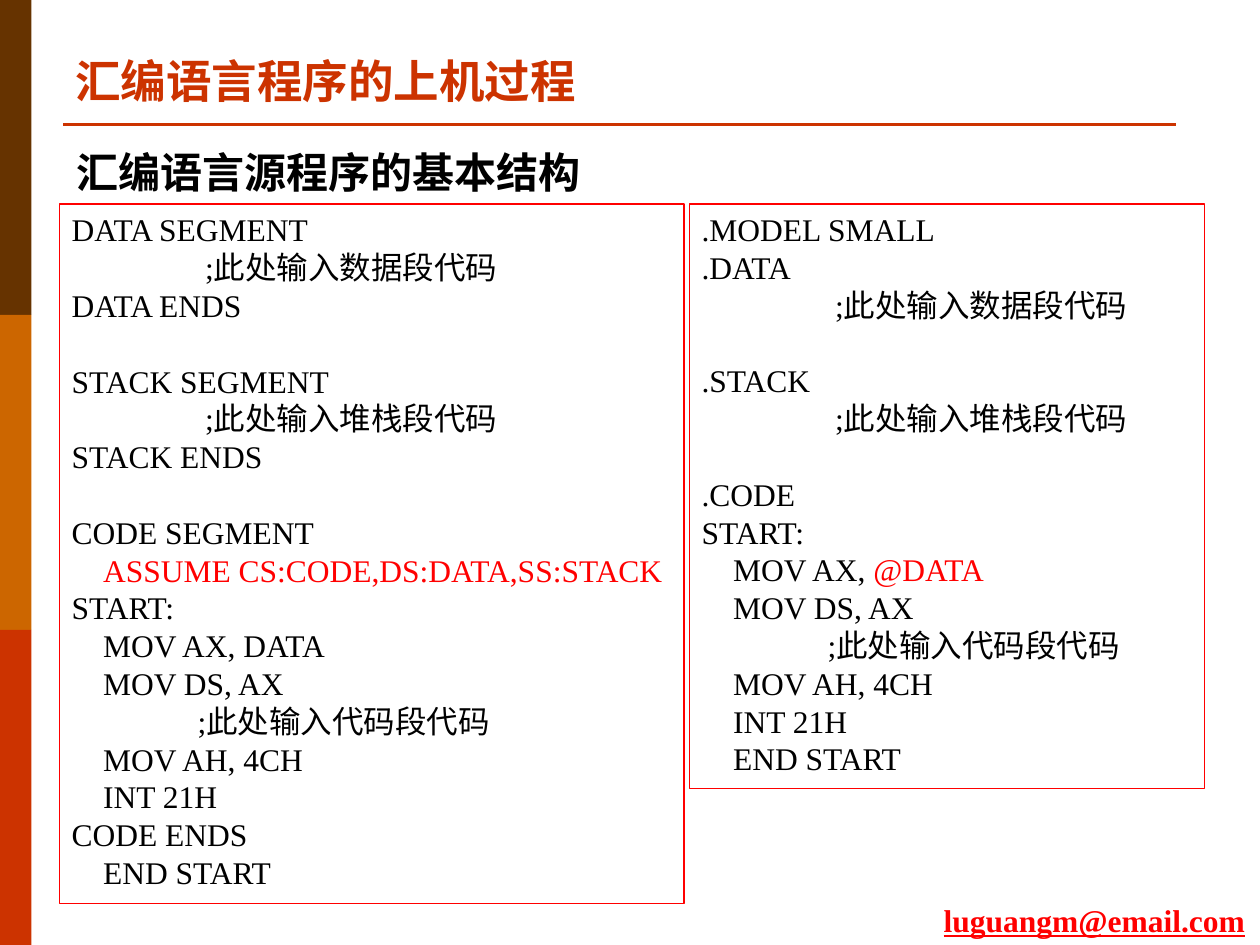
"""Build a slide comparing full and simplified assembly program structures."""
from lxml.etree import SubElement
from pptx import Presentation
from pptx.dml.color import RGBColor
from pptx.enum.shapes import MSO_CONNECTOR, MSO_SHAPE
from pptx.enum.text import MSO_ANCHOR as Anchor, PP_ALIGN as Align
from pptx.oxml.ns import qn
from pptx.util import Inches, Pt

BROWN = RGBColor(0x66, 0x33, 0x00)
ORANGE = RGBColor(0xCC, 0x66, 0x00)
RUST = RGBColor(0xCC, 0x33, 0x00)
RED = RGBColor(0xFF, 0x00, 0x00)
BLACK = RGBColor(0x00, 0x00, 0x00)
FONT = "Times New Roman"
CODE_LINE = Pt(21.6)
STEP, NOTE, DEEP_NOTE = 0.25, 1.0, 1.06

FULL_FORM = [
    [("DATA SEGMENT", 0), (";此处输入数据段代码", DEEP_NOTE), ("DATA ENDS", 0)],
    [("STACK SEGMENT", 0), (";此处输入堆栈段代码", DEEP_NOTE), ("STACK ENDS", 0)],
    [("CODE SEGMENT", 0), ("ASSUME CS:CODE,DS:DATA,SS:STACK", STEP),
     ("START:", 0), ("MOV AX, DATA", STEP), ("MOV DS, AX", STEP),
     (";此处输入代码段代码", NOTE), ("MOV AH, 4CH", STEP), ("INT 21H", STEP),
     ("CODE ENDS", 0), ("END START", STEP)],
]
SIMPLE_FORM = [
    [(".MODEL SMALL", 0), (".DATA", 0), (";此处输入数据段代码", DEEP_NOTE)],
    [(".STACK", 0), (";此处输入堆栈段代码", DEEP_NOTE)],
    [(".CODE", 0), ("START:", 0), ("MOV AX, @DATA", STEP), ("MOV DS, AX", STEP),
     (";此处输入代码段代码", NOTE), ("MOV AH, 4CH", STEP), ("INT 21H", STEP),
     ("END START", STEP)],
]


def add_text(paragraph, text, size=18, color=BLACK, bold=False, underline=False):
    run = paragraph.add_run()
    run.text = text
    run.font.name = FONT
    run.font.size = Pt(size)
    run.font.color.rgb = color
    run.font.bold = bold
    run.font.underline = underline


def add_label(slide, text, left, top, width, height, wrap=False,
              anchor=Anchor.TOP, **style):
    label = slide.shapes.add_textbox(
        Inches(left), Inches(top), Inches(width), Inches(height))
    label.text_frame.word_wrap = wrap
    label.text_frame.vertical_anchor = anchor
    add_text(label.text_frame.paragraphs[0], text, **style)


def add_rect(slide, left, top, width, height):
    rect = slide.shapes.add_shape(
        MSO_SHAPE.RECTANGLE,
        Inches(left), Inches(top), Inches(width), Inches(height))
    rect.shadow.inherit = False
    return rect


def add_side_band(slide, top, height, color):
    band = add_rect(slide, 0, top, 0.25, height)
    band.fill.solid()
    band.fill.fore_color.rgb = color
    band.line.fill.background()


def add_title_rule(slide):
    rule = slide.shapes.add_connector(
        MSO_CONNECTOR.STRAIGHT,
        Inches(0.5), Inches(0.99), Inches(9.33), Inches(0.99))
    rule.line.color.rgb = RUST
    rule.line.width = Pt(1.5)
    SubElement(rule._element.spPr, qn("a:effectLst"))


def add_code_line(paragraph, code, indent, opens_block, highlight):
    paragraph.alignment = Align.LEFT
    paragraph.line_spacing = CODE_LINE
    paragraph.space_before = CODE_LINE if opens_block else Pt(0)
    paragraph._p.get_or_add_pPr().set("marL", str(Inches(indent)))
    before, found, after = code.partition(highlight)
    for part, color in ((before, BLACK), (found, RED), (after, BLACK)):
        if part:
            add_text(paragraph, part, color=color)


def add_listing(slide, blocks, left, width, height, highlight):
    listing = add_rect(slide, left, 1.62, width, height)
    listing.fill.background()
    listing.line.color.rgb = RED
    listing.line.width = Pt(0.75)
    frame = listing.text_frame
    frame.word_wrap = True
    frame.vertical_anchor = Anchor.TOP
    paragraph = frame.paragraphs[0]
    for block_no, block in enumerate(blocks):
        for line_no, (code, indent) in enumerate(block):
            if block_no or line_no:
                paragraph = frame.add_paragraph()
            opens_block = block_no > 0 and line_no == 0
            add_code_line(paragraph, code, indent, opens_block, highlight)


def main():
    deck = Presentation()
    deck.slide_width, deck.slide_height = Inches(10), Inches(7.5)
    slide = deck.slides.add_slide(deck.slide_layouts[6])

    band_height = 2.5
    for index, color in enumerate((BROWN, ORANGE, RUST)):
        add_side_band(slide, index * band_height, band_height, color)
    add_title_rule(slide)
    add_label(slide, "luguangm@email.com", 7.39, 7.1, 2.61, 0.4,
              color=RED, bold=True, underline=True)
    add_label(slide, "汇编语言程序的上机过程", 0.5, 0.36, 9, 0.54, wrap=True,
              anchor=Anchor.BOTTOM, size=26, color=RUST, bold=True)
    add_label(slide, "汇编语言源程序的基本结构", 0.51, 1.11, 4.26, 0.5,
              size=24, bold=True)
    add_listing(slide, FULL_FORM, 0.47, 4.96, 5.55,
                highlight="ASSUME CS:CODE,DS:DATA,SS:STACK")
    add_listing(slide, SIMPLE_FORM, 5.47, 4.09, 4.64, highlight="@DATA")
    deck.save("out.pptx")


if __name__ == "__main__":
    main()
